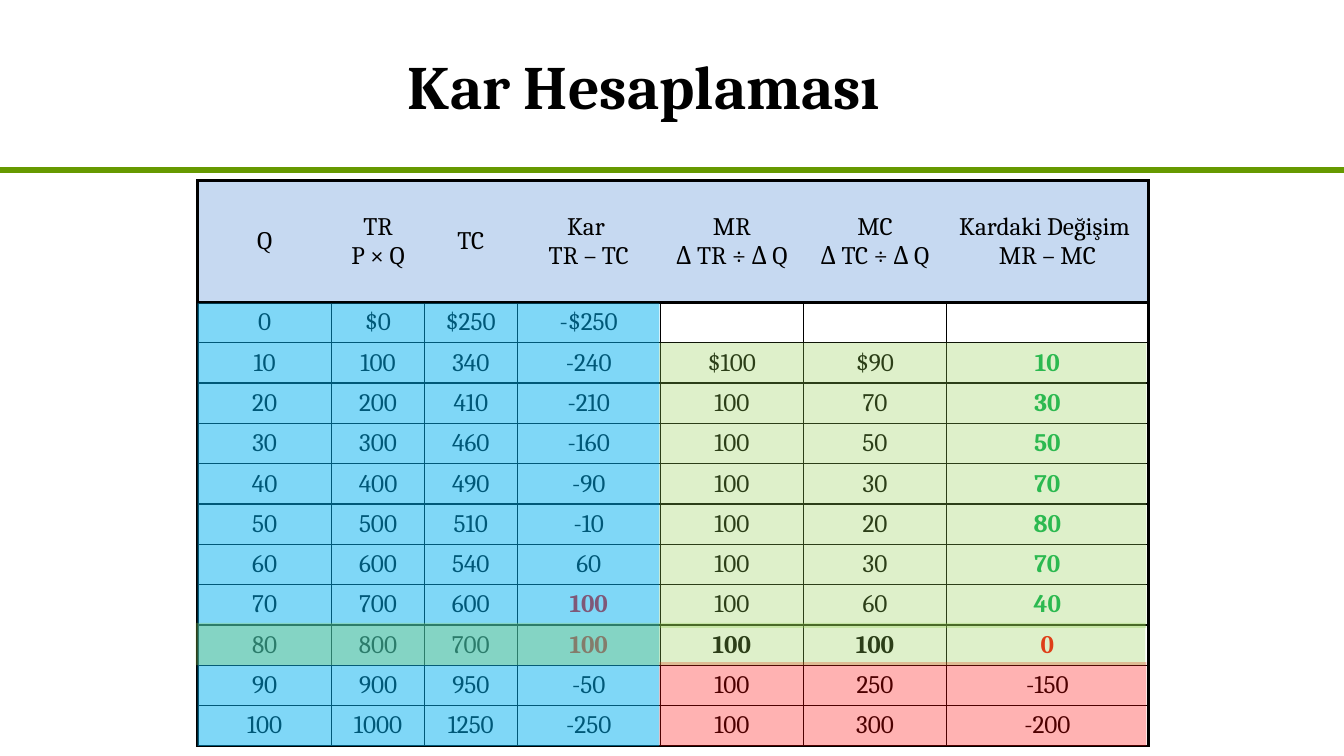
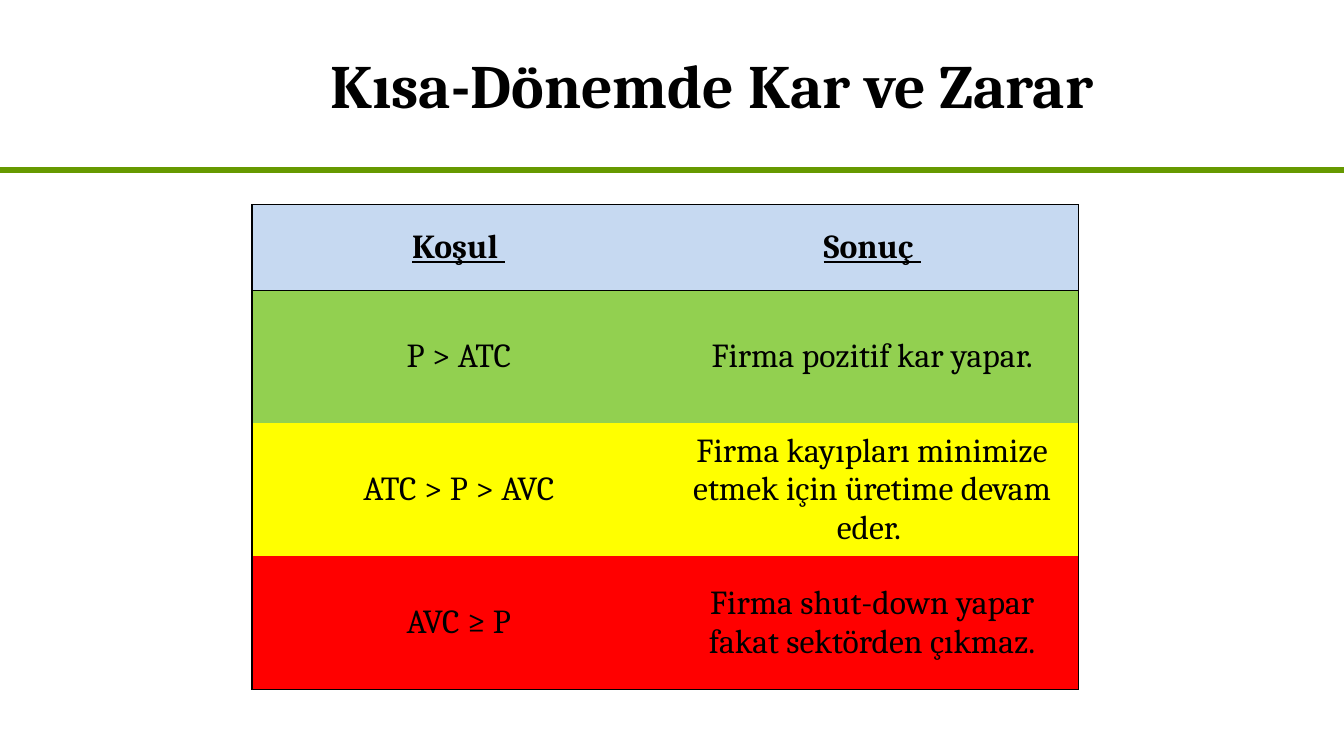
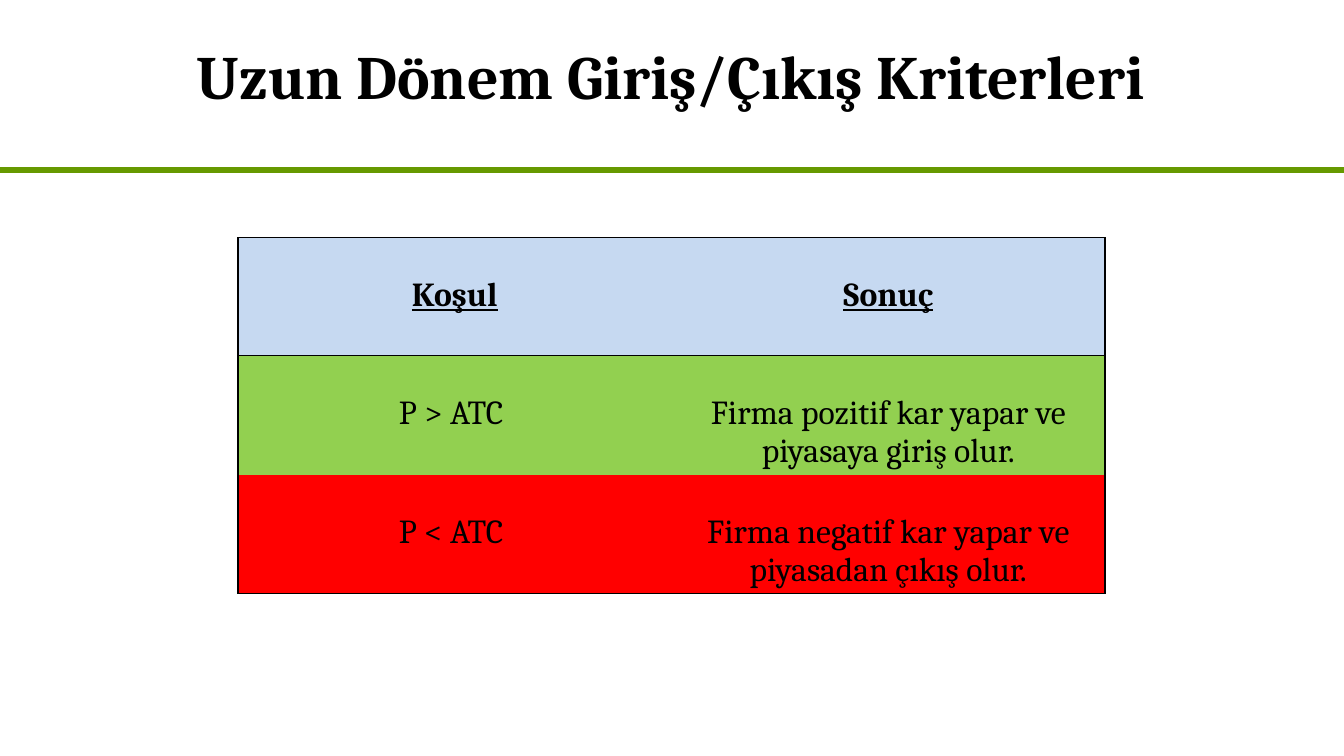
from lxml import etree
from pptx import Presentation
from pptx import util as u
from pptx.dml import color
from pptx.enum import shapes, text
from pptx.oxml import ns

FONT = "Cambria"
COLORS = {
    "ink": "000000",
    "rule": "669900",
    "header": "C6D9F1",
    "lime": "92D050",
    "sky": "00B0F0",
    "yellow": "FFFF00",
    "red": "FF0000",
    "gain": "00B050",
}
WIDTH, HEIGHT = 13.33, 7.5
RULE_TOP = 1.69
TITLE_HEIGHT = 1.67

PROFIT_HEADER = ["Q", "TR\nP × Q", "TC", "Kar \nTR – TC", "MR\nΔ TR ÷ Δ Q",
                 "MC\nΔ TC ÷ Δ Q", "Kardaki Değişim \nMR – MC"]
PROFIT_ROWS = [
    ["0", "$0", "$250", "-$250", "", "", ""],
    ["10", "100", "340", "-240", "$100", "$90", "10"],
    ["20", "200", "410", "-210", "100", "70", "30"],
    ["30", "300", "460", "-160", "100", "50", "50"],
    ["40", "400", "490", "-90", "100", "30", "70"],
    ["50", "500", "510", "-10", "100", "20", "80"],
    ["60", "600", "540", "60", "100", "30", "70"],
    ["70", "700", "600", "100", "100", "60", "40"],
    ["80", "800", "700", "100", "100", "100", "0"],
    ["90", "900", "950", "-50", "100", "250", "-150"],
    ["100", "1000", "1250", "-250", "100", "300", "-200"],
]


def rgb(name):
    return color.RGBColor.from_string(COLORS[name])


def paint(fill, name, opacity=100):
    fill.solid()
    fill.fore_color.rgb = rgb(name)
    if opacity < 100:
        tint = fill._xPr.find(".//" + ns.qn("a:srgbClr"))
        etree.SubElement(tint, ns.qn("a:alpha"), val=str(opacity * 1000))


def write(frame, content, size, ink="ink", bold=False, underline=False):
    frame.word_wrap = True
    for index, line in enumerate(content.split("\n")):
        para = frame.add_paragraph() if index else frame.paragraphs[0]
        para.alignment = text.PP_ALIGN.CENTER
        span = para.add_run()
        span.text = line
        span.font.name = FONT
        span.font.size = u.Pt(size)
        span.font.bold = bold
        span.font.underline = underline
        span.font.color.rgb = rgb(ink)


def add_page(deck, title, left, top, width):
    page = deck.slides.add_slide(deck.slide_layouts[6])
    rule = page.shapes.add_connector(
        shapes.MSO_CONNECTOR.STRAIGHT, u.Inches(0), u.Inches(RULE_TOP),
        u.Inches(WIDTH), u.Inches(RULE_TOP))
    rule.line.color.rgb = rgb("rule")
    rule.line.width = u.Pt(4.5)
    etree.SubElement(rule._element.spPr, ns.qn("a:effectLst"))
    box = page.shapes.add_textbox(
        u.Inches(left), u.Inches(top), u.Inches(width), u.Inches(TITLE_HEIGHT))
    box.text_frame.vertical_anchor = text.MSO_ANCHOR.MIDDLE
    write(box.text_frame, title, 44, bold=True)
    return page


def add_table(page, left, top, widths, heights):
    frame = page.shapes.add_table(
        len(heights), len(widths), u.Inches(left), u.Inches(top),
        u.Inches(sum(widths)), u.Inches(sum(heights)))
    table = frame.table
    table.first_row = table.horz_banding = False
    for column, width in zip(table.columns, widths):
        column.width = u.Inches(width)
    for row, height in zip(table.rows, heights):
        row.height = u.Inches(height)
    return table


def set_borders(table, outer, inner):
    last_row, last_column = len(table.rows) - 1, len(table.columns) - 1
    for r in range(last_row + 1):
        upright = inner if r else 0
        for c in range(last_column + 1):
            weights = {
                "a:lnL": upright if c else outer,
                "a:lnR": outer if c == last_column else upright,
                "a:lnT": outer if r < 2 else inner,
                "a:lnB": outer if r in (0, last_row) else inner,
            }
            properties = table.cell(r, c)._tc.get_or_add_tcPr()
            for tag, weight in weights.items():
                line = etree.SubElement(properties, ns.qn(tag), w=str(u.Pt(weight)))
                if weight:
                    solid = etree.SubElement(line, ns.qn("a:solidFill"))
                    etree.SubElement(solid, ns.qn("a:srgbClr"), val=COLORS["ink"])
                else:
                    etree.SubElement(line, ns.qn("a:noFill"))


def fill_cell(cell, content, size, side, fill=None, opacity=100, top=None, **style):
    cell.margin_left = cell.margin_right = u.Inches(side)
    cell.margin_top = u.Inches(top or 0)
    cell.margin_bottom = 0
    cell.vertical_anchor = text.MSO_ANCHOR.TOP if top else text.MSO_ANCHOR.MIDDLE
    if fill:
        paint(cell.fill, fill, opacity)
    else:
        cell.fill.background()
    if content:
        write(cell.text_frame, content, size, **style)


def add_tint(page, name, opacity, left, top, width, height):
    tint = page.shapes.add_shape(
        shapes.MSO_SHAPE.RECTANGLE, u.Inches(left), u.Inches(top),
        u.Inches(width), u.Inches(height))
    tint.shadow.inherit = False
    tint.line.fill.background()
    paint(tint.fill, name, opacity)


def profit_style(row, column):
    if (row, column) in ((7, 3), (8, 3), (8, 6)):
        return {"ink": "red", "bold": True}
    if column == 6 and row < 8:
        return {"ink": "gain", "bold": True}
    return {"bold": row == 8 and column > 3}


def add_profit_page(deck):
    page = add_page(deck, "Kar Hesaplaması", 1.89, 0.01, 9)
    widths = [1.33, 0.92, 0.92, 1.42, 1.42, 1.42, 2]
    table = add_table(page, 1.96, 1.79, widths, [1.21] + [0.4] * len(PROFIT_ROWS))
    set_borders(table, 2.25, 1)
    for c, heading in enumerate(PROFIT_HEADER):
        fill_cell(table.cell(0, c), heading, 18, 0.06, "header")
    for r, values in enumerate(PROFIT_ROWS):
        for c, value in enumerate(values):
            fill_cell(table.cell(r + 1, c), value, 18, 0.06, **profit_style(r, c))
    add_tint(page, "sky", 50, 1.96, 3.01, 4.58, 4.39)
    add_tint(page, "lime", 30, 6.54, 3.4, 4.83, 2.83)
    add_tint(page, "red", 30, 6.54, 6.57, 4.83, 0.83)
    add_tint(page, "lime", 30, 1.94, 6.18, 9.42, 0.42)


def add_outcomes(page, left, top, width, heights, headings, outcomes, inset=None):
    table = add_table(page, left, top, [width] * 2, heights)
    set_borders(table, 1, 0)
    for c, heading in enumerate(headings):
        fill_cell(table.cell(0, c), heading, 24, 0.08, "header", top=inset,
                  bold=True, underline=True)
    for r, (fill, *contents) in enumerate(outcomes, 1):
        for c, content in enumerate(contents):
            fill_cell(table.cell(r, c), content, 24, 0.08, fill, 50, top=inset)


def main():
    deck = Presentation()
    deck.slide_width = u.Inches(WIDTH)
    deck.slide_height = u.Inches(HEIGHT)

    add_profit_page(deck)

    page = add_page(deck, "Kısa-Dönemde Kar ve Zarar", 2.17, 0, 9.79)
    add_outcomes(page, 2.5, 2.03, 4.1, [0.85] + [1.32] * 3, ["Koşul ", "Sonuç "], [
        ("lime", "P > ATC", "Firma pozitif kar yapar."),
        ("yellow", "ATC > P > AVC",
         "Firma kayıpları minimize etmek için üretime devam eder. "),
        ("red", "AVC ≥ P", "Firma shut-down yapar fakat sektörden çıkmaz."),
    ])

    page = add_page(deck, "Uzun Dönem Giriş/Çıkış Kriterleri", 1.55, -0.09, 10.21)
    add_outcomes(page, 2.36, 2.36, 4.3, [1.17] + [1.15] * 2, ["Koşul", "Sonuç"], [
        ("lime", "P > ATC ", "Firma pozitif kar yapar ve piyasaya giriş olur."),
        ("red", "P < ATC ", "Firma negatif kar yapar ve piyasadan çıkış olur."),
    ], inset=0.38)

    deck.save("out.pptx")


if __name__ == "__main__":
    main()
